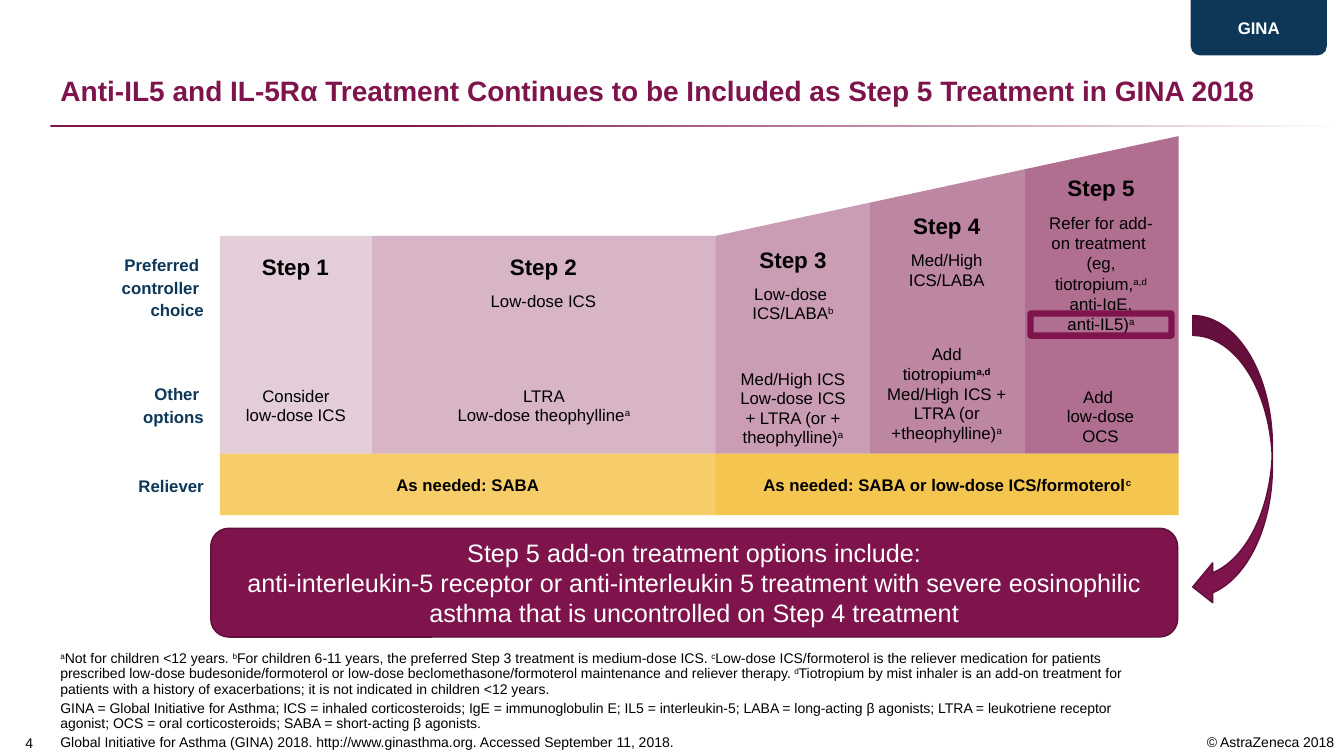
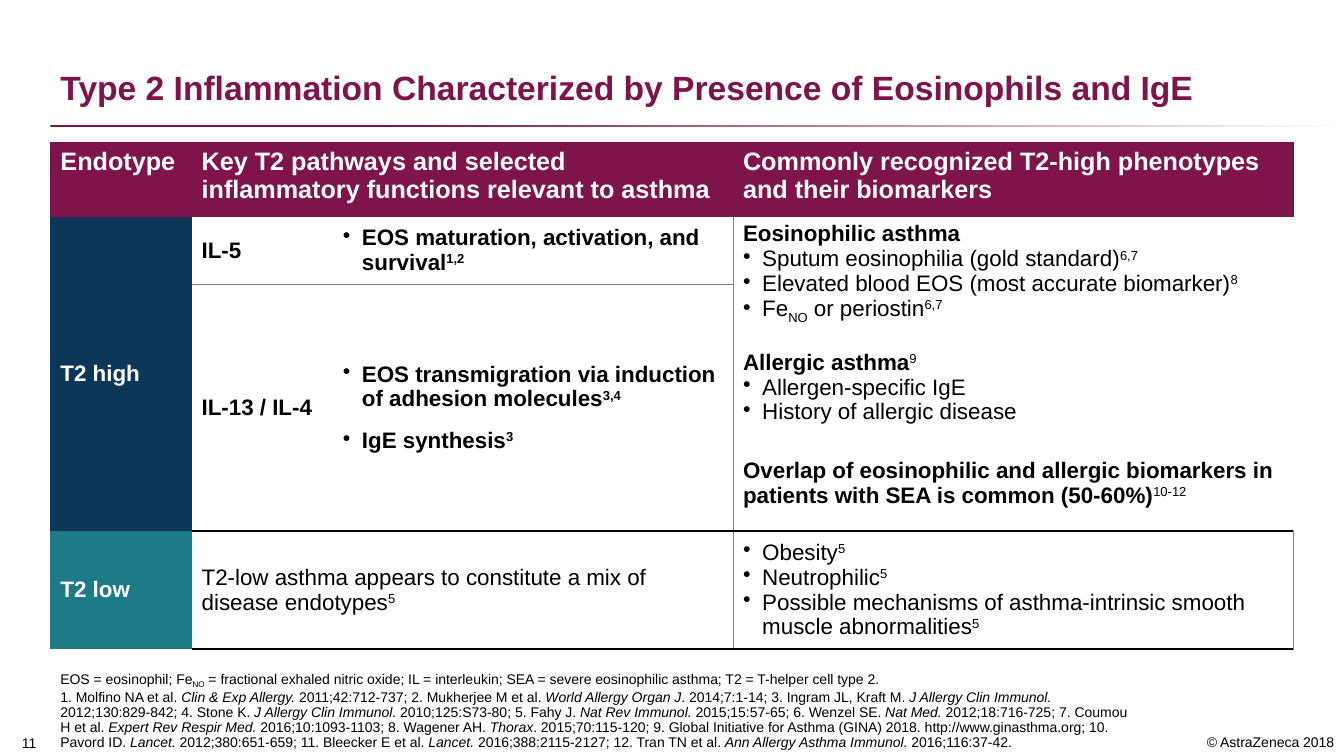
from dataclasses import dataclass
from itertools import product

from lxml import etree
from pptx import Presentation
from pptx.dml.color import RGBColor
from pptx.enum.shapes import MSO_SHAPE
from pptx.enum.text import MSO_ANCHOR, MSO_AUTO_SIZE, PP_ALIGN
from pptx.oxml import parse_xml
from pptx.oxml.ns import nsdecls, qn
from pptx.util import Inches, Pt

LEFT, CENTER, RIGHT = PP_ALIGN.LEFT, PP_ALIGN.CENTER, PP_ALIGN.RIGHT
TOP, MIDDLE, BOTTOM = MSO_ANCHOR.TOP, MSO_ANCHOR.MIDDLE, MSO_ANCHOR.BOTTOM
RECTANGLE, ROUNDED = MSO_SHAPE.RECTANGLE, MSO_SHAPE.ROUNDED_RECTANGLE
TAB, ARROW = MSO_SHAPE.ROUND_2_SAME_RECTANGLE, MSO_SHAPE.CURVED_RIGHT_ARROW
FIXED = MSO_AUTO_SIZE.NONE
NO_TABLE_STYLE = "{2D5ABB26-0587-4C30-8999-92F81FD0307C}"


@dataclass(frozen=True)
class Theme:
    font: str = "Arial"
    plum: str = "7F134C"
    dark_plum: str = "5E0E38"
    navy: str = "0D3759"
    teal: str = "1D7B87"
    gold: str = "F0AB00"
    gray: str = "808080"
    black: str = "000000"
    white: str = "FFFFFF"
    note: int = 10
    label: int = 12
    body: int = 16
    lead: int = 18


theme = Theme()


def write(frame, paragraphs, size, color=theme.black, bold=False, align=LEFT,
          spacing=None, before=0, after=0, bullet=False):
    frame.word_wrap = True
    for runs in paragraphs:
        first = not frame.text
        para = frame.paragraphs[0] if first else frame.add_paragraph()
        if bullet:
            properties = para._p.get_or_add_pPr()
            properties.set("marL", str(Inches(0.19)))
            properties.set("indent", str(-Inches(0.19)))
            etree.SubElement(properties, qn("a:buChar")).set("char", "•")
        para.alignment = align
        para.line_spacing = spacing
        para.space_before = Pt(0 if first else before)
        para.space_after = Pt(after)
        for run in runs:
            text, mark = run if isinstance(run, tuple) else (run, "")
            span = para.add_run()
            span.text = text
            span.font.name = theme.font
            span.font.size = Pt(size)
            span.font.color.rgb = RGBColor.from_string(color)
            span.font.bold = "bold" in mark or (bold and "plain" not in mark)
            span.font.italic = "italic" in mark
            if "sup" in mark or "sub" in mark:
                baseline = "30000" if "sup" in mark else "-25000"
                span._r.get_or_add_rPr().set("baseline", baseline)


def paint(shape, color=None, opacity=100, line=None, width=1):
    shape.shadow.inherit = False
    if color:
        shape.fill.solid()
        shape.fill.fore_color.rgb = RGBColor.from_string(color)
        if opacity < 100:
            swatch = shape._element.spPr.find(qn("a:solidFill"))[0]
            etree.SubElement(swatch, qn("a:alpha")).set("val", str(opacity * 1000))
    else:
        shape.fill.background()
    if line:
        shape.line.color.rgb = RGBColor.from_string(line)
        shape.line.width = Pt(width)
    else:
        shape.line.fill.background()


deck = Presentation()
deck.slide_width = Inches(13.33)
deck.slide_height = Inches(7.5)

step_notes = [
    [("a", "sup"), "Not for children <12 years. ", ("b", "sup"),
     "For children 6-11 years, the preferred Step 3 treatment is medium-dose ICS. ",
     ("c", "sup"),
     "Low-dose ICS/formoterol is the reliever medication for patients prescribed "
     "low-dose budesonide/formoterol or low-dose beclomethasone/formoterol "
     "maintenance and reliever therapy. ", ("d", "sup"),
     "Tiotropium by mist inhaler is an add-on treatment for patients with a history "
     "of exacerbations; it is not indicated in children <12 years."],
    ["GINA = Global Initiative for Asthma; ICS = inhaled corticosteroids; "
     "IgE = immunoglobulin E; IL5 = interleukin-5; LABA = long-acting β agonists; "
     "LTRA = leukotriene receptor agonist; OCS = oral corticosteroids; "
     "SABA = short-acting β agonists."],
    ["Global Initiative for Asthma (GINA) 2018. http://www.ginasthma.org. "
     "Accessed September 11, 2018."],
]
references = [
    "1. Molfino NA et al. ", ("Clin & Exp Allergy. ", "italic"),
    "2011;42:712-737; 2. Mukherjee M et al. ", ("World Allergy Organ J", "italic"),
    ". 2014;7:1-14; 3. Ingram JL, Kraft M. ", ("J Allergy Clin Immunol. ", "italic"),
    "2012;130:829-842; 4. Stone K. ", ("J Allergy Clin Immunol. ", "italic"),
    "2010;125:S73-80; 5. Fahy J. ", ("Nat Rev Immunol. ", "italic"),
    "2015;15:57-65; 6. Wenzel SE. ", ("Nat Med. ", "italic"),
    "2012;18:716-725; 7. Coumou H et al. ", ("Expert Rev Respir Med. ", "italic"),
    "2016;10:1093-1103; 8. Wagener AH. ", ("Thorax", "italic"),
    ". 2015;70:115-120; 9. Global Initiative for Asthma (GINA) 2018. "
    "http://www.ginasthma.org; 10. Pavord ID. ", ("Lancet. ", "italic"),
    "2012;380:651-659; 11. Bleecker E et al. ", ("Lancet. ", "italic"),
    "2016;388:2115-2127; 12. Tran TN et al. ",
    ("Ann Allergy Asthma Immunol.", "italic"), " 2016;116:37-42.",
]
endotype_notes = [
    ["EOS = eosinophil; Fe", ("NO", "sub"),
     " = fractional exhaled nitric oxide; IL = interleukin; "
     "SEA = severe eosinophilic asthma; T2 = T-helper cell type 2."],
    references,
]

pages = []
for number, heading, heading_size, notes, gap in [
    ("4", "Anti-IL5 and IL-5Rα Treatment Continues to be Included as Step 5 "
     "Treatment in GINA 2018", 20, step_notes, 3),
    ("11", "Type 2 Inflammation Characterized by Presence of Eosinophils and IgE",
     24, endotype_notes, 2),
]:
    page = deck.slides.add_slide(deck.slide_layouts[5])
    pages.append(page)
    title = page.shapes.title
    title.left, title.top = Inches(0.5), Inches(0.25)
    title.width, title.height = Inches(12.33), Inches(0.87)
    title.text_frame.auto_size = FIXED
    title.text_frame.vertical_anchor = BOTTOM
    write(title.text_frame, [[heading]], heading_size, theme.plum, True, spacing=0.9)

    rule = page.shapes.add_shape(RECTANGLE, Inches(0.5), Inches(1.24),
                                 Inches(12.83), Inches(0.02))
    paint(rule)
    rule.fill.gradient()
    rule.fill.gradient_angle = 0
    for stop, position, color in zip(rule.fill.gradient_stops, (0.26, 1),
                                     (theme.plum, theme.white)):
        stop.position = position
        stop.color.rgb = RGBColor.from_string(color)

    for left, top, width, height, align, spacing, anchor, paragraphs in [
        (11.11, 7.23, 2.22, 0.27, RIGHT, None, TOP, [["© AstraZeneca 2018"]]),
        (0.05, 7.21, 0.48, 0.29, CENTER, None, BOTTOM, [[number]]),
        (0.5, 6.4, 10.78, 1.1, LEFT, 0.9, BOTTOM, notes),
    ]:
        box = page.shapes.add_textbox(Inches(left), Inches(top),
                                      Inches(width), Inches(height))
        box.text_frame.vertical_anchor = anchor
        if align == CENTER:
            box.text_frame.margin_left = box.text_frame.margin_right = Inches(0.05)
        write(box.text_frame, paragraphs, theme.note, align=align,
              spacing=spacing, before=gap)

page = pages[0]
for left, width, opacity in [(2.18, 1.51, 21), (3.69, 3.41, 31)]:
    step = page.shapes.add_shape(RECTANGLE, Inches(left), Inches(2.34),
                                 Inches(width), Inches(2.16))
    paint(step, theme.plum, opacity)

step_width, step_rise = 1.53, 0.33
for index in range(3):
    left, top = 7.1 + step_width * index, 2.34 - step_rise * index
    right = left + step_width
    outline = page.shapes.build_freeform(Inches(left), Inches(top))
    outline.add_line_segments([(Inches(x), Inches(y)) for x, y in [
        (right, top - step_rise), (right, 4.5), (left, 4.5)]])
    paint(outline.convert_to_shape(), theme.plum, 41 + 10 * index)

for left, top, width, height, heading, line_height, lines in [
    (2.29, 2.46, 1.28, 0.34, "Step 1", 14, []),
    (4.1, 2.46, 2.58, 0.62, "Step 2", 14, [["Low-dose ICS"]]),
    (7.26, 2.39, 1.21, 1.14, "Step 3", 14,
     [["Low-dose "], ["ICS/LABA", ("b", "sup")]]),
    (8.8, 2.06, 1.18, 0.81, "Step 4", 14, [["Med/High"], ["ICS/LABA"]]),
    (10.24, 1.68, 1.36, 1.69, "Step 5", 14.5,
     [["Refer for add-on treatment "],
      ["(eg, tiotropium,", ("a,d", "sup"), " anti-IgE,"],
      ["anti-IL5)", ("a", "sup")]]),
]:
    box = page.shapes.add_textbox(Inches(left), Inches(top),
                                  Inches(width), Inches(height))
    write(box.text_frame, [[heading]], theme.body, bold=True, align=CENTER, after=8)
    write(box.text_frame, lines, theme.label, align=CENTER, spacing=Pt(line_height))

for top, height, lines in [
    (2.46, 0.76, ["Preferred ", "controller ", "choice"]),
    (3.74, 0.53, ["Other ", "options"]),
    (4.65, 0.31, ["Reliever"]),
]:
    box = page.shapes.add_textbox(Inches(1.1), Inches(top), Inches(1.02), Inches(height))
    write(box.text_frame, [[line] for line in lines], theme.label, theme.navy, True,
          RIGHT, Pt(16))

for left, top, width, height, lines in [
    (2.34, 3.75, 1.19, 0.48, [["Consider"], ["low-dose ICS"]]),
    (4.16, 3.75, 2.47, 0.48, [["LTRA"], ["Low-dose theophylline", ("a", "sup")]]),
    (7.24, 3.58, 1.25, 0.83,
     [["Med/High ICS"], ["Low-dose ICS + LTRA (or + theophylline)", ("a", "sup")]]),
    (8.75, 3.34, 1.28, 1.1,
     [["Add tiotropium", ("a,d", "sup bold")],
      ["Med/High ICS + LTRA (or +theophylline)", ("a", "sup")]]),
    (10.39, 3.76, 1.05, 0.71, [["Add "], ["low-dose"], ["OCS"]]),
]:
    box = page.shapes.add_textbox(Inches(left), Inches(top),
                                  Inches(width), Inches(height))
    frame = box.text_frame
    frame.margin_left = frame.margin_right = frame.margin_bottom = Inches(0.04)
    frame.margin_top = Inches(0.08)
    write(frame, lines, theme.label, align=CENTER, spacing=Pt(14))

for left, width, opacity, runs in [
    (2.18, 4.92, 59, ["As needed: SABA"]),
    (7.1, 4.59, 69, ["As needed: SABA or low-dose ICS/formoterol", ("c", "sup")]),
]:
    reliever = page.shapes.add_shape(RECTANGLE, Inches(left), Inches(4.5),
                                     Inches(width), Inches(0.61))
    paint(reliever, theme.gold, opacity)
    reliever.text_frame.vertical_anchor = MIDDLE
    write(reliever.text_frame, [runs], theme.label, bold=True, align=CENTER)

highlight = page.shapes.add_shape(ROUNDED, Inches(10.22), Inches(3.11),
                                  Inches(1.4), Inches(0.22))
highlight.adjustments[0] = 0.04
paint(highlight, line=theme.plum, width=4.5)

callout = page.shapes.add_shape(ROUNDED, Inches(2.09), Inches(5.24),
                                Inches(9.59), Inches(1.08))
paint(callout, theme.plum, line=theme.dark_plum)
callout.text_frame.vertical_anchor = MIDDLE
write(callout.text_frame, [
    ["Step 5 add-on treatment options include:"],
    ["anti-interleukin-5 receptor or anti-interleukin 5 treatment with severe "
     "eosinophilic asthma that is uncontrolled on Step 4 treatment"],
], theme.lead, theme.white, align=CENTER)

arrow = page.shapes.add_shape(ARROW, Inches(11.83), Inches(3.13),
                              Inches(0.79), Inches(2.89))
paint(arrow, theme.plum, line=theme.dark_plum)
arrow.rotation = 180
arrow._element.spPr.xfrm.set("flipV", "1")

tab = page.shapes.add_shape(TAB, Inches(11.81), 0, Inches(1.35), Inches(0.55))
tab.adjustments[0], tab.adjustments[1] = 0, 0.17
paint(tab, theme.navy)
tab.text_frame.vertical_anchor = MIDDLE
tab.text_frame.margin_top = Inches(0.1)
write(tab.text_frame, [["GINA"]], theme.label, theme.white, True, CENTER, 0.85)

page = pages[1]
table = page.shapes.add_table(4, 4, Inches(0.5), Inches(1.41),
                              Inches(12.33), Inches(4.94)).table
table.first_row = table.horz_banding = False
table._tbl.tblPr.find(qn("a:tableStyleId")).text = NO_TABLE_STYLE
for column, width in zip(table.columns, (1.4, 1.4, 3.97, 5.56)):
    column.width = Inches(width)
for row, height in zip(table.rows, (0.74, 0.67, 2.44, 1.09)):
    row.height = Inches(height)
for start, end in [((0, 1), (0, 2)), ((1, 0), (2, 0)), ((1, 3), (2, 3)), ((3, 1), (3, 2))]:
    table.cell(*start).merge(table.cell(*end))

side_fills = (theme.plum, theme.navy, theme.navy, theme.teal)
thin, thick = (theme.gray, 0.75), (theme.black, 1.5)
for row, column in product(range(4), range(4)):
    cell = table.cell(row, column)
    cell.vertical_anchor = TOP if row == 0 or (row, column) == (1, 3) else MIDDLE
    cell.fill.solid()
    fill = side_fills[row] if row == 0 or column == 0 else theme.white
    cell.fill.fore_color.rgb = RGBColor.from_string(fill)
    if row == 0 or column == 0:
        continue
    inner = thin if column < 3 else None
    edges = {
        "L": thin if column == 3 else None,
        "R": thin if column == 2 else None,
        "T": {2: inner, 3: thick}.get(row),
        "B": thin if row == 1 and column < 3 else thick,
    }
    drawn = [(side, edge) for side, edge in edges.items() if edge]
    for position, (side, (color, width)) in enumerate(drawn):
        cell._tc.get_or_add_tcPr().insert(position, parse_xml(
            f'<a:ln{side} {nsdecls("a")} w="{Pt(width)}"><a:solidFill>'
            f'<a:srgbClr val="{color}"/></a:solidFill></a:ln{side}>'))

header = dict(size=theme.lead, color=theme.white, bold=True)
side = dict(size=theme.body, color=theme.white, bold=True)
strong = dict(size=theme.body, bold=True)
strong_bullet = dict(strong, bullet=True)
plain = dict(size=theme.body)
plain_bullet = dict(plain, bullet=True)
for row, column, style, paragraphs in [
    (0, 0, header, [["Endotype"]]),
    (0, 1, header, [["Key T2 pathways and selected inflammatory functions "
                     "relevant to asthma"]]),
    (0, 3, header, [["Commonly recognized T2-high phenotypes and their biomarkers"]]),
    (1, 0, side, [["T2 high"]]),
    (1, 1, strong, [["IL-5"]]),
    (1, 2, strong_bullet, [["EOS maturation, activation, and survival", ("1,2", "sup")]]),
    (1, 3, strong, [["Eosinophilic asthma"]]),
    (1, 3, plain_bullet, [
        ["Sputum eosinophilia (gold standard)", ("6,7", "sup")],
        ["Elevated blood EOS (most accurate biomarker)", ("8", "sup")],
        ["Fe", ("NO", "sub"), " or periostin", ("6,7", "sup")]]),
    (1, 3, dict(strong, before=18), [["Allergic asthma", ("9", "sup plain")]]),
    (1, 3, plain_bullet, [["Allergen-specific IgE"], ["History of allergic disease"]]),
    (1, 3, dict(strong, before=24), [
        ["Overlap of eosinophilic and allergic biomarkers in patients with SEA is "
         "common (50-60%)", ("10-12", "sup plain")]]),
    (2, 1, strong, [["IL-13 / IL-4"]]),
    (2, 2, dict(strong_bullet, before=12), [
        ["EOS transmigration via induction of adhesion molecules", ("3,4", "sup")],
        ["IgE synthesis", ("3", "sup")]]),
    (3, 0, side, [["T2 low"]]),
    (3, 1, plain, [["T2-low asthma appears to constitute a mix of disease endotypes",
                    ("5", "sup")]]),
    (3, 3, plain_bullet, [
        ["Obesity", ("5", "sup")],
        ["Neutrophilic", ("5", "sup")],
        ["Possible mechanisms of asthma-intrinsic smooth muscle abnormalities",
         ("5", "sup")]]),
]:
    write(table.cell(row, column).text_frame, paragraphs, **style)

deck.save("out.pptx")
